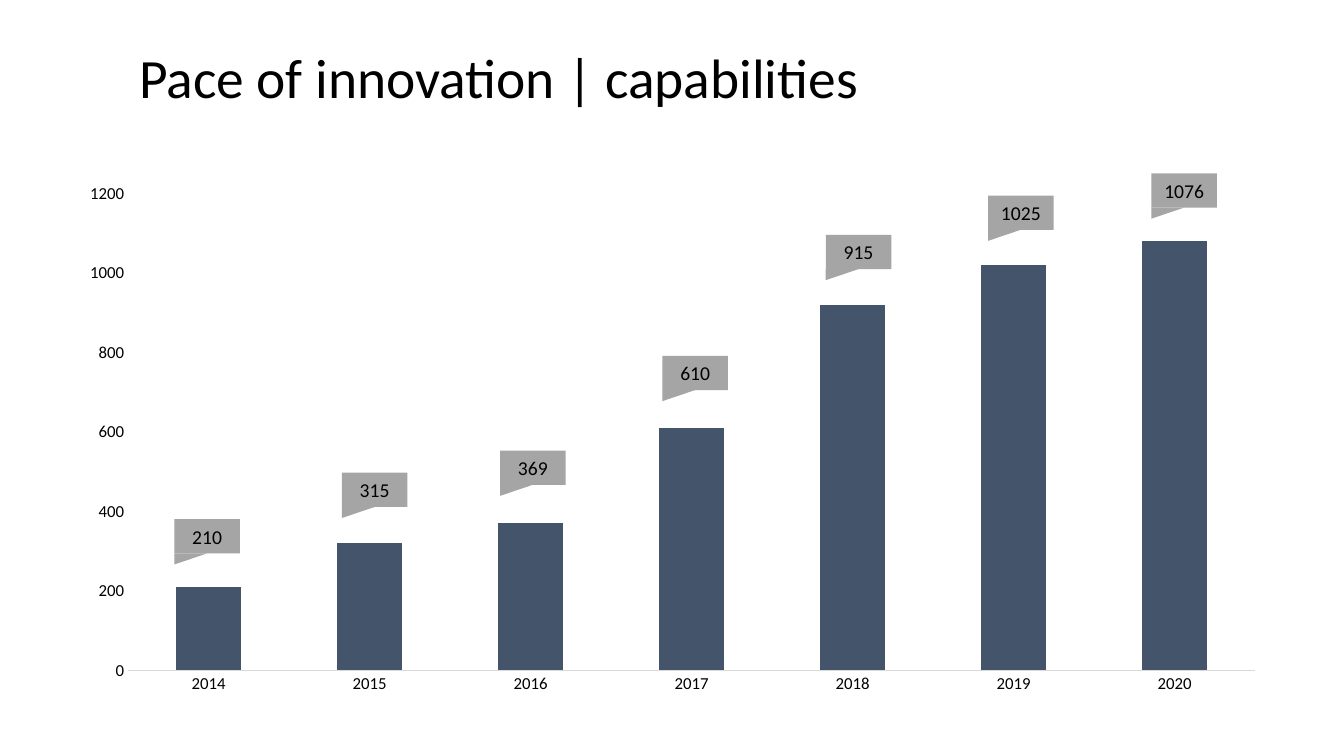
from pptx import Presentation
from pptx.chart.data import CategoryChartData
from pptx.dml.color import RGBColor
from pptx.enum.chart import XL_CHART_TYPE as ChartType, XL_TICK_MARK as Tick
from pptx.enum.shapes import MSO_SHAPE as Shape
from pptx.enum.text import MSO_ANCHOR as Anchor, PP_ALIGN as Align
from pptx.oxml import parse_xml
from pptx.oxml.ns import nsdecls
from pptx.util import Inches, Pt

BLACK = RGBColor(0x00, 0x00, 0x00)
NAVY = RGBColor(0x44, 0x54, 0x6A)
GREY = RGBColor(0xA5, 0xA5, 0xA5)
PALE = RGBColor(0xD9, 0xD9, 0xD9)

# Year, column value, callout text, left and top of the callout
RELEASES = [
    ("2014", 210, "210", 1.73, 5.15),
    ("2015", 320, "315", 3.39, 4.69),
    ("2016", 370, "369", 4.96, 4.47),
    ("2017", 610, "610", 6.57, 3.53),
    ("2018", 920, "915", 8.19, 2.33),
    ("2019", 1020, "1025", 9.8, 1.94),
    ("2020", 1080, "1076", 11.42, 1.72),
]


def set_font(font, size, color=BLACK, name="Calibri", bold=False):
    font.size, font.name, font.bold = Pt(size), name, bold
    font.color.rgb = color


class Deck:
    def __init__(self, width, height):
        self.prs = Presentation()
        self.prs.slide_width, self.prs.slide_height = Inches(width), Inches(height)
        self.s = self.prs.slides.add_slide(self.prs.slide_layouts[5])

    def title(self, text, left, top, width, height):
        sp = self.s.shapes.title
        sp.left, sp.top = Inches(left), Inches(top)
        sp.width, sp.height = Inches(width), Inches(height)
        tf = sp.text_frame
        tf.text, tf.vertical_anchor = text, Anchor.MIDDLE
        p = tf.paragraphs[0]
        p.alignment, p.line_spacing = Align.LEFT, 0.9
        set_font(p.runs[0].font, 39.6)

    def column_chart(self, categories, values, left, top, width, height):
        data = CategoryChartData()
        data.categories = categories
        data.add_series("Series 1", values)
        chart = self.s.shapes.add_chart(
            ChartType.COLUMN_STACKED, Inches(left), Inches(top),
            Inches(width), Inches(height), data).chart
        chart.has_title = chart.has_legend = False
        set_font(chart.font, 10)

        plot = chart.plots[0]
        plot.gap_width, plot.overlap, plot.vary_by_categories = 150, 100, False
        fill = plot.series[0].format.fill
        fill.solid()
        fill.fore_color.rgb = NAVY

        for axis in (chart.category_axis, chart.value_axis):
            axis.major_tick_mark = axis.minor_tick_mark = Tick.NONE
            axis.has_major_gridlines = False
            set_font(axis.tick_labels.font, 12)
        line = chart.category_axis.format.line
        line.color.rgb, line.width = PALE, Pt(0.75)
        axis = chart.value_axis
        axis.format.line.fill.background()
        axis.minimum_scale, axis.maximum_scale, axis.major_unit = 0, 1200, 200
        # Plot area in inches, as shares of the chart frame
        self.place_plot(chart, x=0.63 / width, y=0.2 / height,
                        w=11.18 / width, h=4.73 / height)

    def place_plot(self, chart, **box):
        area = chart.plots[0]._element.getparent()
        for old in area.xpath("c:layout"):
            area.remove(old)
        edges = "".join(f'<c:{k} val="{v}"/>' for k, v in box.items())
        area.insert(0, parse_xml(
            f'<c:layout {nsdecls("c")}><c:manualLayout>'
            '<c:layoutTarget val="inner"/>'
            f'<c:xMode val="edge"/><c:yMode val="edge"/>{edges}'
            '</c:manualLayout></c:layout>'))

    def block(self, parent, kind, left, top, width, height):
        sp = parent.shapes.add_shape(kind, Inches(left), Inches(top),
                                     Inches(width), Inches(height))
        sp.shadow.inherit = False
        sp.fill.solid()
        sp.fill.fore_color.rgb = GREY
        sp.line.fill.background()
        return sp

    def callout(self, text, left, top, width=0.65, height=0.34):
        group = self.s.shapes.add_group_shape()
        label = self.block(group, Shape.RECTANGLE, left, top, width, height)
        tf = label.text_frame
        tf.margin_left = tf.margin_right = Inches(0.05)
        tf.margin_top = tf.margin_bottom = Inches(0.05)
        tf.word_wrap, tf.vertical_anchor = True, Anchor.MIDDLE
        p = tf.paragraphs[0]
        p.alignment = Align.CENTER
        r = p.add_run()
        r.text = text
        set_font(r.font, 14)
        # Pointer below the label
        tail = self.block(group, Shape.ISOSCELES_TRIANGLE, left, top + height,
                          width / 2, 0.11)
        tail.adjustments[0] = 0
        tail._element.spPr.xfrm.set("flipV", "1")


def main():
    deck = Deck(13.33, 7.5)

    # Heading
    deck.title("Pace of innovation | capabilities", 1.28, 0.49, 12.05, 0.61)

    # Columns by year
    years, values, *_ = zip(*RELEASES)
    deck.column_chart(years, values, 0.64, 1.72, 12.05, 5.28)

    # Callouts above the columns
    for _, _, text, left, top in RELEASES:
        deck.callout(text, left, top)

    deck.prs.save("out.pptx")


if __name__ == "__main__":
    main()
